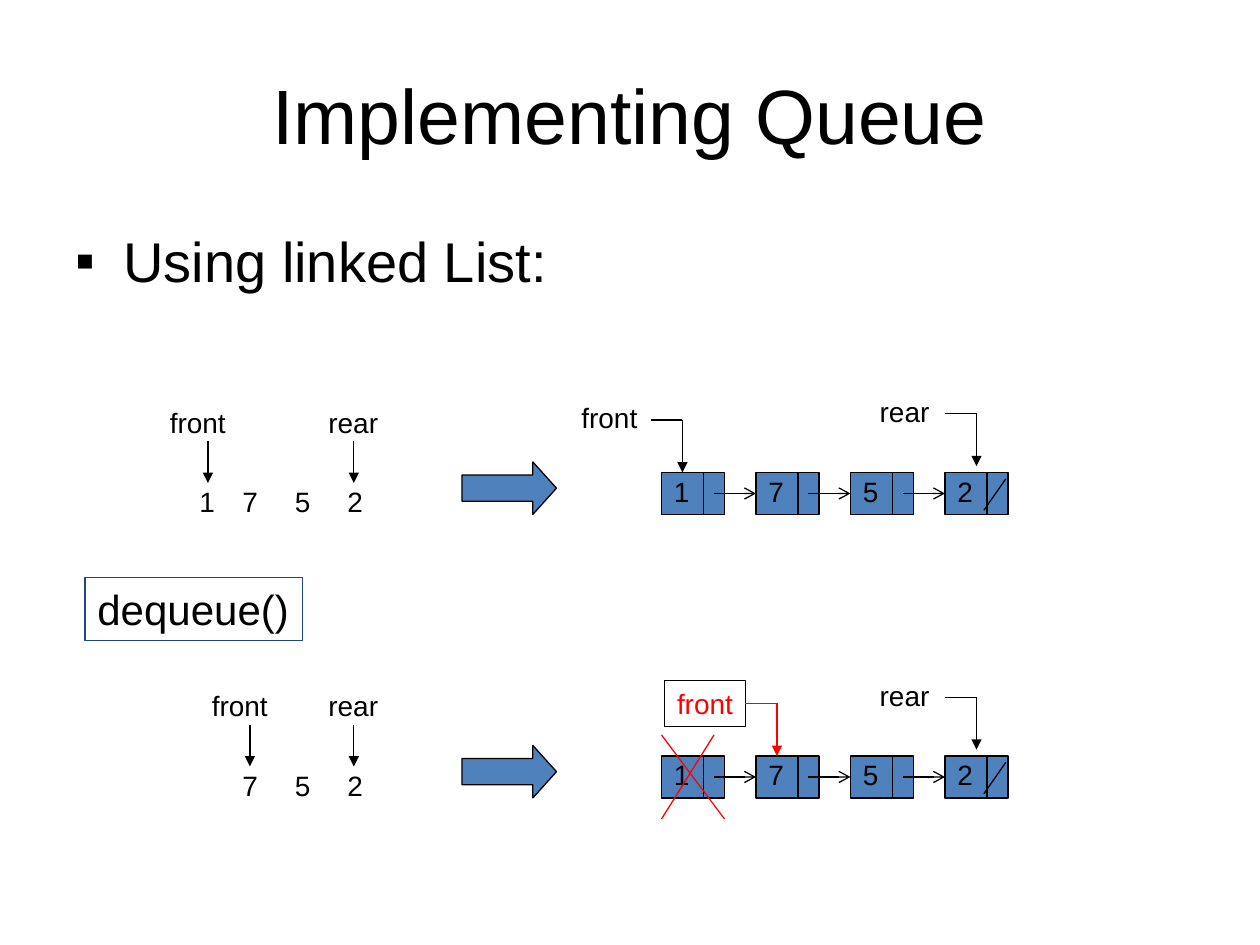
"""Build a slide showing a linked-list queue before and after dequeue()."""
from dataclasses import dataclass

from lxml import etree
from pptx import Presentation
from pptx.dml.color import RGBColor
from pptx.enum.shapes import MSO_CONNECTOR, MSO_SHAPE
from pptx.enum.text import MSO_ANCHOR, MSO_AUTO_SIZE, PP_ALIGN
from pptx.oxml.ns import qn
from pptx.util import Inches, Pt

STRAIGHT = MSO_CONNECTOR.STRAIGHT
RECTANGLE, RIGHT_ARROW = MSO_SHAPE.RECTANGLE, MSO_SHAPE.RIGHT_ARROW
TOP, MIDDLE = MSO_ANCHOR.TOP, MSO_ANCHOR.MIDDLE
LEFT, CENTER = PP_ALIGN.LEFT, PP_ALIGN.CENTER
FIT_SHAPE, NO_FIT = MSO_AUTO_SIZE.SHAPE_TO_FIT_TEXT, MSO_AUTO_SIZE.NONE
LEFT_SIDE, RIGHT_SIDE = 1, 3

BLACK = RGBColor(0x00, 0x00, 0x00)
RED = RGBColor(0xFF, 0x00, 0x00)
BLUE = RGBColor(0x4F, 0x81, 0xBD)
NAVY = RGBColor(0x1F, 0x49, 0x7D)

WIDTH, HEIGHT = Inches(10), Inches(7.5)
COLUMNS, ROWS = 120, 90
LABEL_HEIGHT = 4.4
LABEL_WIDTHS = {"front": 7.7, "rear": 7.1}
DIGIT_WIDTH = 3.8
NODE_COLUMN, NODE_ROW, NODE_PITCH = 63, 45, 9
NODE_WIDTH, NODE_HEIGHT = 6, 4


@dataclass(frozen=True)
class QueueState:
    """One state of the queue: its values, row offset and front pointer."""

    offset: float
    values: dict[str, float]
    front_column: float
    dequeued: bool


NODE_VALUES = ("1", "7", "5", "2")
VALUE_COLUMNS = {"1": 17.8, "7": 21.9, "5": 26.9, "2": 31.9}
STATES = (
    QueueState(0, VALUE_COLUMNS, 15, False),
    QueueState(27, {value: VALUE_COLUMNS[value] for value in NODE_VALUES[1:]}, 19, True),
)


def x(column: float) -> int:
    """Return the horizontal length of a number of columns."""
    return round(WIDTH * column / COLUMNS)


def y(row: float) -> int:
    """Return the vertical length of a number of rows."""
    return round(HEIGHT * row / ROWS)


def write(frame, text: str, size: float, color=BLACK, align=LEFT, **settings):
    """Put one formatted paragraph into a text frame and return it."""
    for name, value in settings.items():
        setattr(frame, name, value)
    paragraph = frame.paragraphs[0]
    paragraph.alignment = align
    run = paragraph.add_run()
    run.text = text
    for name, value in {"name": "Arial", "size": Pt(size)}.items():
        setattr(run.font, name, value)
    run.font.color.rgb = color
    return paragraph


def add_label(shapes, text: str, column: float, row: float) -> None:
    """Add an unframed pointer name or queue value."""
    width = LABEL_WIDTHS.get(text, DIGIT_WIDTH)
    label = shapes.add_textbox(x(column), y(row), x(width), y(LABEL_HEIGHT))
    write(label.text_frame, text, 16, word_wrap=False, auto_size=FIT_SHAPE)


def add_block(shapes, preset, column: float, row: float, width: float,
              height: float, fill=None, outline=BLACK):
    """Add an outlined preset shape, unfilled unless a colour is given."""
    block = shapes.add_shape(preset, x(column), y(row), x(width), y(height))
    block.shadow.inherit = False
    if fill is None:
        block.fill.background()
    else:
        block.fill.solid()
        block.fill.fore_color.rgb = fill
    block.line.color.rgb = outline
    block.line.width = Pt(0.75)
    return block


def add_framed(shapes, text: str, column: float, row: float, width: float,
               height: float, size: float, color=BLACK, outline=BLACK):
    """Add text in an outlined box."""
    box = add_block(shapes, RECTANGLE, column, row, width, height, outline=outline)
    write(box.text_frame, text, size, color, word_wrap=False,
          auto_size=FIT_SHAPE, vertical_anchor=TOP)
    return box


def add_line(shapes, start: tuple[float, float], end: tuple[float, float],
             color=BLACK, head: str = ""):
    """Add a straight line between grid points, with an optional arrowhead."""
    line = shapes.add_connector(STRAIGHT, x(start[0]), y(start[1]), x(end[0]), y(end[1]))
    line.line.color.rgb = color
    line.line.width = Pt(0.75)
    if head:
        etree.SubElement(line.line._get_or_add_ln(), qn("a:tailEnd"), type=head)
    etree.SubElement(line._element.spPr, qn("a:effectLst"))
    return line


def add_pointer(shapes, column: float, row: float, end: tuple[float, float],
                color=BLACK):
    """Add a bent pointer and return its horizontal part."""
    corner = (end[0], row)
    stem = add_line(shapes, (column, row), corner, color)
    add_line(shapes, corner, end, color, "triangle")
    return stem


def draw_values(shapes, state: QueueState) -> None:
    """Draw the abstract queue on the left with its two pointers."""
    offset = state.offset
    for value, column in state.values.items():
        add_label(shapes, value, column, 45.6 + offset)
    for name, column, tip in (("front", state.front_column, state.front_column + 4.8),
                              ("rear", 30.1, 33.7)):
        add_label(shapes, name, column, 38 + offset)
        add_line(shapes, (tip, 42 + offset), (tip, 46 + offset), head="triangle")
    add_block(shapes, RIGHT_ARROW, 44, 44 + offset, 9, 5, BLUE).adjustments[1] = 0.45


def draw_nodes(shapes, state: QueueState) -> None:
    """Draw the linked nodes, their links and the closing slash."""
    top = NODE_ROW + state.offset
    bottom, middle = top + NODE_HEIGHT, top + NODE_HEIGHT / 2
    columns = [NODE_COLUMN + i * NODE_PITCH for i in range(len(NODE_VALUES))]
    nodes = []
    for value, column in zip(NODE_VALUES, columns):
        nodes.append(add_block(shapes, RECTANGLE, column, top, NODE_WIDTH, NODE_HEIGHT, BLUE))
        add_line(shapes, (column + 4, top), (column + 4, bottom))
        add_label(shapes, value, column, top - 0.4)
    for column, target in zip(columns, nodes[1:]):
        link = add_line(shapes, (column + 5, middle), (column + NODE_PITCH, middle), head="arrow")
        link.end_connect(target, LEFT_SIDE)
    add_line(shapes, (95.8, top + 0.6), (93.7, bottom - 0.4))


def draw_pointers(shapes, state: QueueState) -> None:
    """Draw the front and rear pointers and cross out a removed node."""
    offset, top = state.offset, NODE_ROW + state.offset
    add_label(shapes, "rear", 82.6, 37 + offset)
    add_pointer(shapes, 90, 39.4 + offset, (93, top - 0.6))
    if not state.dequeued:
        add_label(shapes, "front", 54.2, 37.6 + offset)
        add_pointer(shapes, 62, 40 + offset, (65, top))
        return
    front = add_framed(shapes, "front", 63.3, 37.8 + offset, LABEL_WIDTHS["front"],
                       LABEL_HEIGHT, 16, RED)
    add_pointer(shapes, 71, 40 + offset, (74, top), RED).begin_connect(front, RIGHT_SIDE)
    for start, end in ((68, 63), (63, 69)):
        add_line(shapes, (start, top - 2), (end, top + 6), RED)


def fill_placeholders(slide) -> None:
    """Place and format the title and the bulleted line."""
    title, body = slide.placeholders
    for holder, row, height in ((title, 4.8, 12), (body, 21, 10)):
        for name, value in {"left": x(6), "top": y(row), "width": x(108),
                            "height": y(height)}.items():
            setattr(holder, name, value)
    write(title.text_frame, "Implementing Queue", 44, align=CENTER,
          vertical_anchor=MIDDLE, auto_size=NO_FIT)
    topic = write(body.text_frame, "Using linked List:", 32,
                  vertical_anchor=TOP, auto_size=NO_FIT)
    topic.space_before = Pt(8)
    properties = topic._p.get_or_add_pPr()
    for name, value in {"marL": Inches(0.38), "indent": -Inches(0.38)}.items():
        properties.set(name, str(value))
    etree.SubElement(properties, qn("a:buFont"), typeface="Arial")
    etree.SubElement(properties, qn("a:buChar"), char="▪")


def main() -> None:
    """Build and save the slide."""
    deck = Presentation()
    deck.slide_width, deck.slide_height = WIDTH, HEIGHT
    slide = deck.slides.add_slide(deck.slide_layouts[1])
    fill_placeholders(slide)
    for state in STATES:
        draw_values(slide.shapes, state)
        draw_nodes(slide.shapes, state)
        draw_pointers(slide.shapes, state)
    add_framed(slide.shapes, "dequeue()", 8.1, 55, 20.7, 6, 24, outline=NAVY)
    deck.save("out.pptx")


if __name__ == "__main__":
    main()
